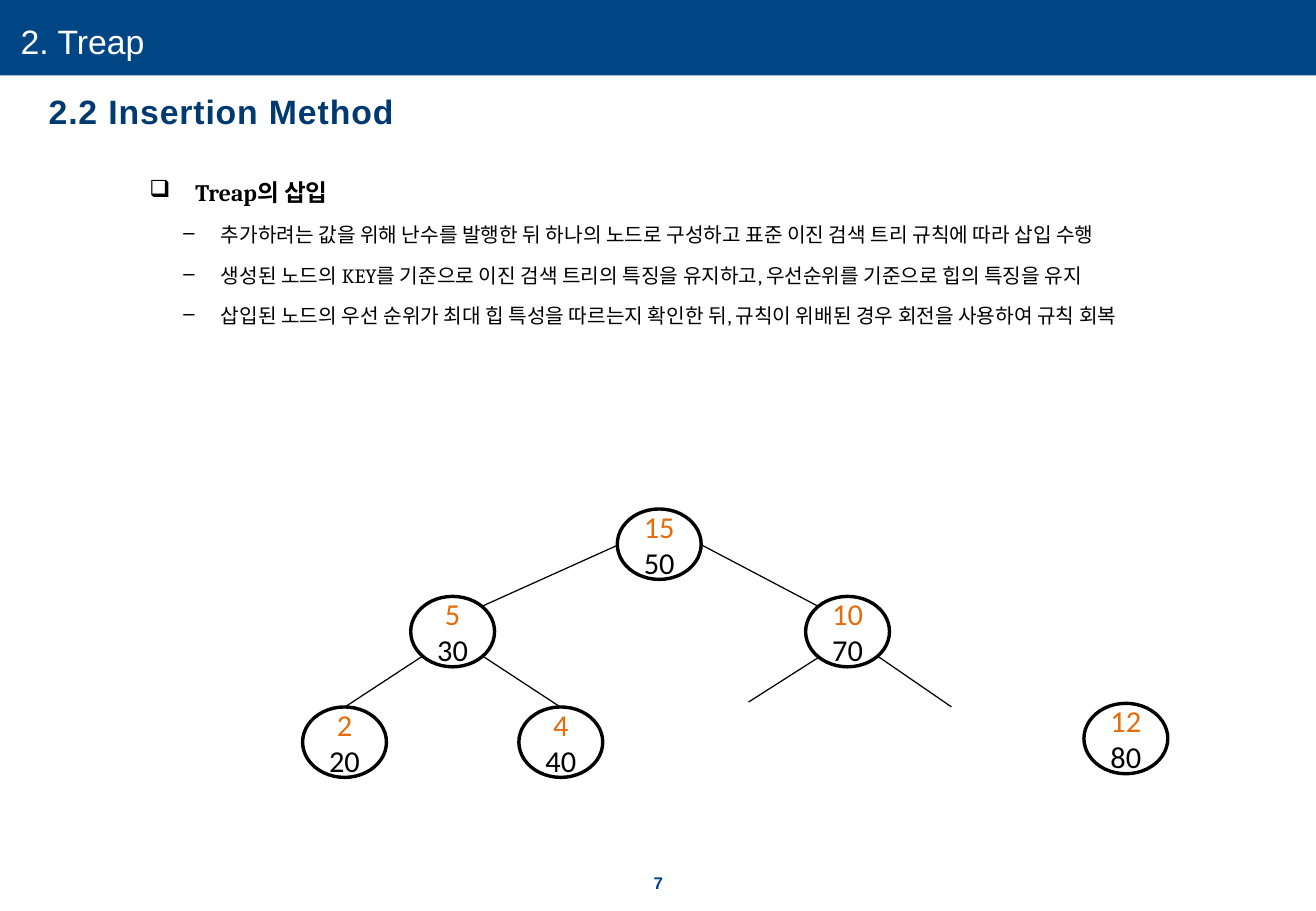
"""Build the slide on inserting a node into a treap."""
from lxml import etree
from pptx import Presentation
from pptx import util as u
from pptx.dml.color import RGBColor
from pptx.enum import shapes, text
from pptx.oxml.ns import qn

BANNER_BLUE = RGBColor(0x00, 0x46, 0x85)
HEADING_BLUE = RGBColor(0x00, 0x3A, 0x70)
PRIORITY_ORANGE = RGBColor(0xE4, 0x6C, 0x0A)
BLACK = RGBColor(0, 0, 0)
WHITE = RGBColor(255, 255, 255)

NODE_WIDTH, NODE_HEIGHT = 0.69, 0.58


def style_span(span, font, size, color, bold=False):
    span.font.name = font
    span.font.size = u.Pt(size)
    span.font.color.rgb = color
    span.font.bold = bold


deck = Presentation()
deck.slide_width, deck.slide_height = u.Inches(10.83), u.Inches(7.5)
page = deck.slides.add_slide(deck.slide_layouts[6])

banner = page.shapes.add_shape(
    shapes.MSO_SHAPE.RECTANGLE, 0, 0, deck.slide_width, u.Inches(0.62))
banner.shadow.inherit = False
banner.fill.solid()
banner.fill.fore_color.rgb = BANNER_BLUE
banner.line.fill.background()

labels = [
    ("7", 5.31, 7.2, 0.22, 0.15, 0.07, 10, BANNER_BLUE, True),
    ("2. Treap", 0.16, 0.17, 2.86, 0.34, 0.01, 20, WHITE, False),
    ("2.2 Insertion Method", 0.39, 0.75, 6.61, 0.34, 0.01, 20, HEADING_BLUE, True),
]
for words, left, top, width, height, indent, size, color, bold in labels:
    box = page.shapes.add_textbox(*map(u.Inches, (left, top, width, height)))
    frame = box.text_frame
    frame.word_wrap = True
    frame.auto_size = text.MSO_AUTO_SIZE.SHAPE_TO_FIT_TEXT
    frame.margin_left = frame.margin_right = frame.margin_top = frame.margin_bottom = 0
    frame.text = words
    para = frame.paragraphs[0]
    para._p.get_or_add_pPr().set("marL", str(u.Inches(indent)))
    if size == 10:
        para.line_spacing = u.Pt(10.9)
    span = para.runs[0]
    style_span(span, "Arial", size, color, bold)
    if bold:
        span.font._element.set("spc", "50")

explanation = [
    "Treap의 삽입",
    "추가하려는 값을 위해 난수를 발행한 뒤 하나의 노드로 구성하고 표준 이진 검색 트리 규칙에 따라 삽입 수행",
    "생성된 노드의 KEY를 기준으로 이진 검색 트리의 특징을 유지하고, 우선순위를 기준으로 힙의 특징을 유지",
    "삽입된 노드의 우선 순위가 최대 힙 특성을 따르는지 확인한 뒤, 규칙이 위배된 경우 회전을 사용하여 규칙 회복",
]
box = page.shapes.add_textbox(*map(u.Inches, (1.13, 1.3, 9.12, 2.02)))
frame = box.text_frame
frame.word_wrap = True
frame.text = "\n".join(explanation)
for index, para in enumerate(frame.paragraphs):
    is_heading = index == 0
    size = 14 if is_heading else 12
    bullet, margin, hanging = ("❑", 0.38, 0.38) if is_heading else ("–", 0.59, 0.31)
    para.level = 0 if is_heading else 1
    para.line_spacing = 1.5
    para.space_before = u.Pt(0.2 * size)
    properties = para._p.get_or_add_pPr()
    properties.set("marL", str(u.Inches(margin)))
    properties.set("indent", str(-u.Inches(hanging)))
    etree.SubElement(properties, qn("a:buChar")).set("char", bullet)
    style_span(para.runs[0], "Cambria", size, BLACK, is_heading)

nodes = [
    (15, 50, 5.08, 4.19),
    (5, 30, 3.38, 4.91),
    (10, 70, 6.63, 4.91),
    (2, 20, 2.49, 5.82),
    (4, 40, 4.27, 5.82),
    (12, 80, 8.92, 5.79),
]
for priority, key, left, top in nodes:
    node = page.shapes.add_shape(
        shapes.MSO_SHAPE.OVAL, *map(u.Inches, (left, top, NODE_WIDTH, NODE_HEIGHT)))
    node.shadow.inherit = False
    node.fill.background()
    node.line.color.rgb = BLACK
    node.line.width = u.Pt(2)
    frame = node.text_frame
    frame.vertical_anchor = text.MSO_ANCHOR.MIDDLE
    frame.text = f"{priority}\n{key}"
    for para, color in zip(frame.paragraphs, (PRIORITY_ORANGE, BLACK)):
        para.alignment = text.PP_ALIGN.CENTER
        style_span(para.runs[0], "Calibri", 18, color)

edges = [
    (5.08, 4.49, 3.97, 4.99),
    (5.78, 4.49, 6.73, 4.99),
    (3.48, 5.4, 2.84, 5.82),
    (3.97, 5.4, 4.61, 5.82),
    (6.74, 5.41, 6.16, 5.78),
    (7.22, 5.4, 7.83, 5.82),
]
for ends in edges:
    edge = page.shapes.add_connector(shapes.MSO_CONNECTOR.STRAIGHT, *map(u.Inches, ends))
    edge.line.color.rgb = BLACK
    edge.line.width = u.Pt(0.75)
    etree.SubElement(edge._element.spPr, qn("a:effectLst"))

deck.save("out.pptx")
